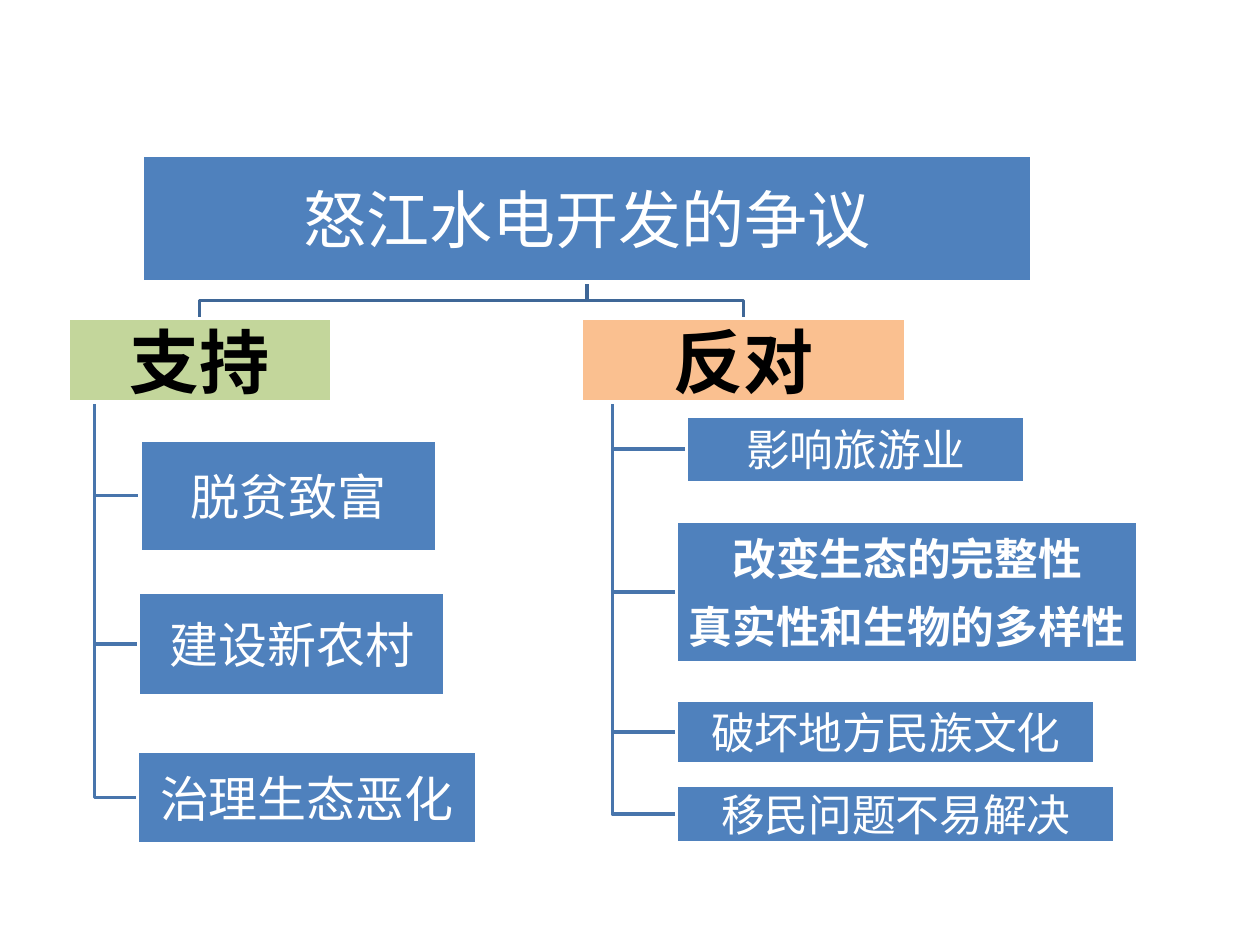
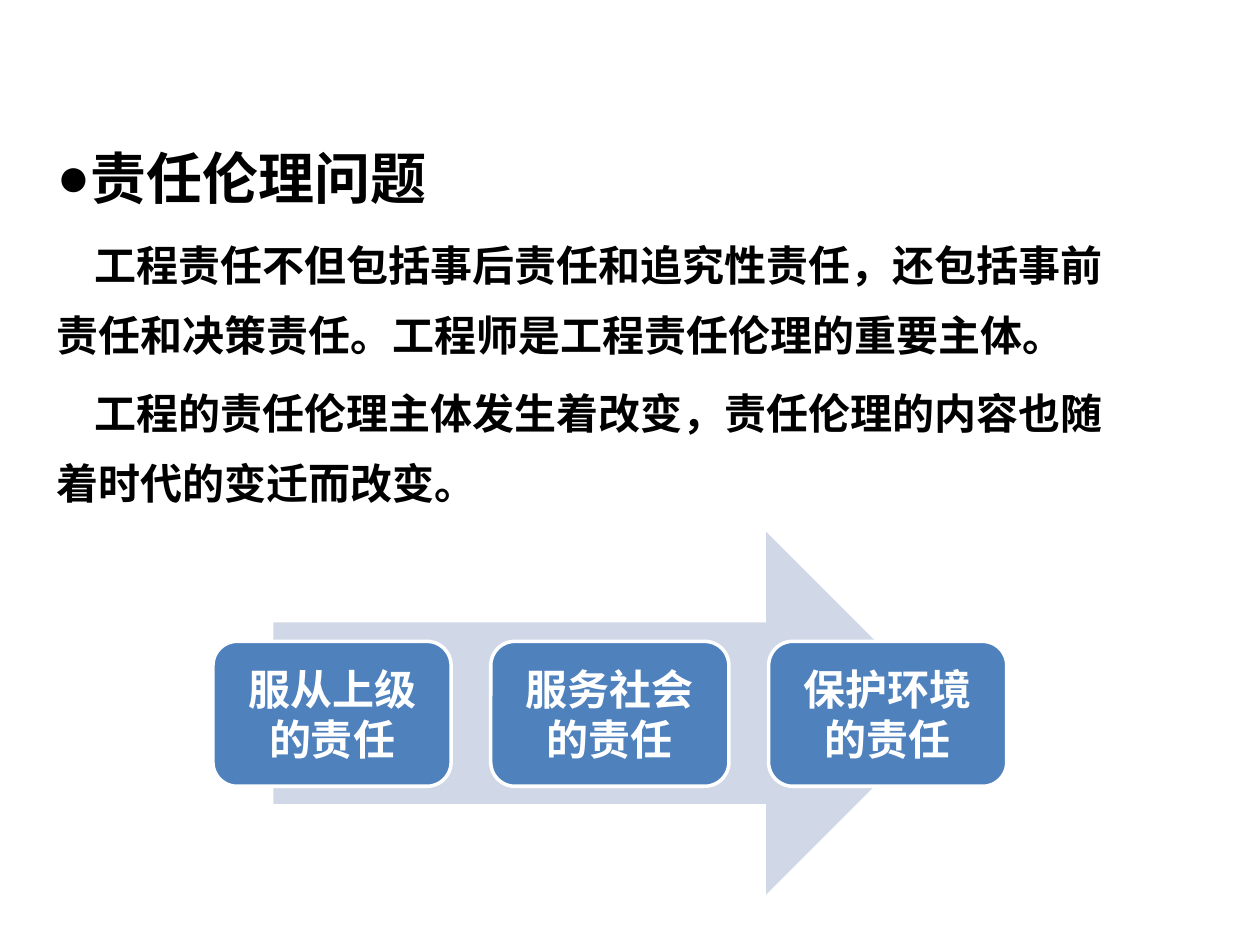
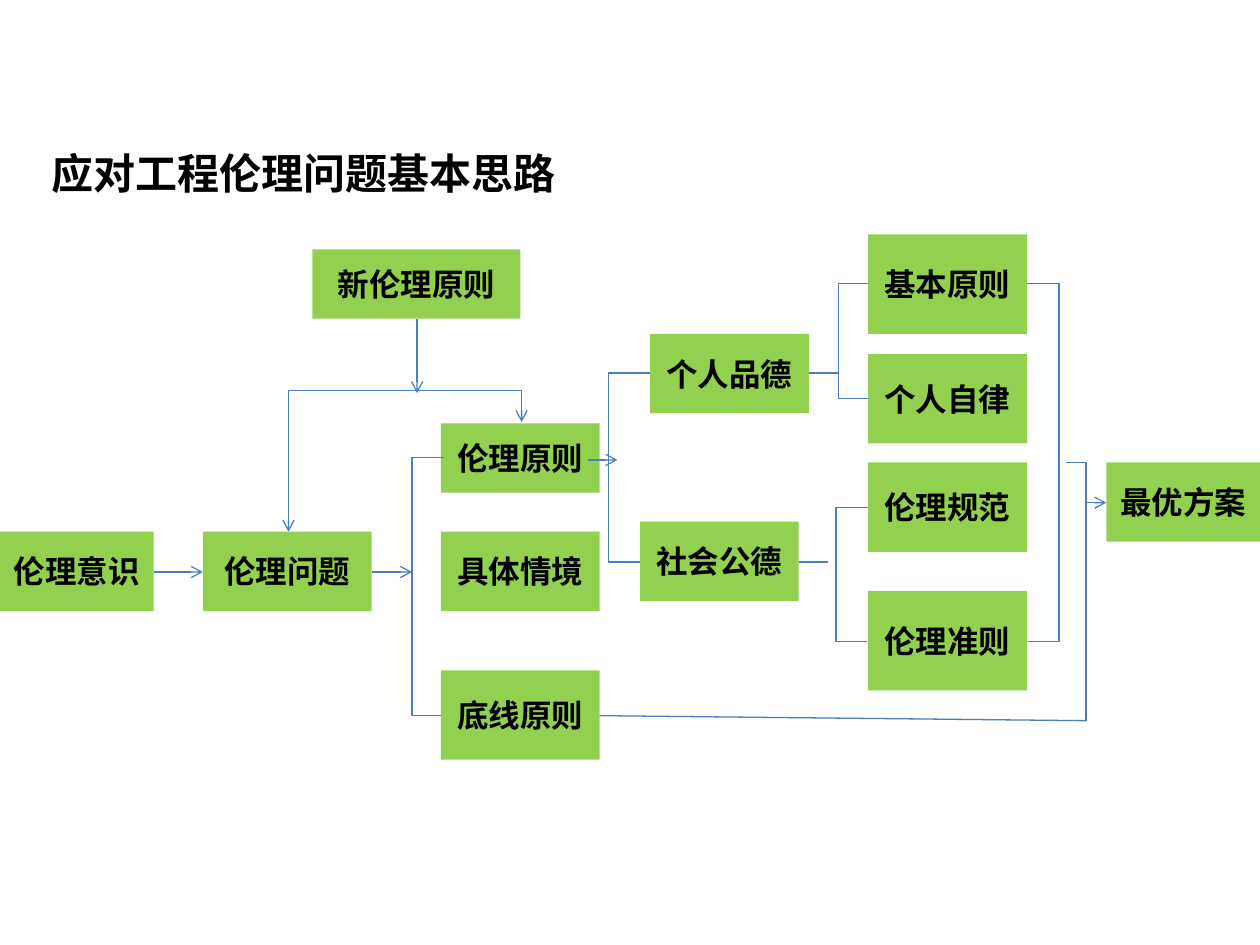
from dataclasses import dataclass

from lxml import etree
from pptx import Presentation
from pptx.dml.color import RGBColor
from pptx.enum.shapes import MSO_CONNECTOR, MSO_SHAPE
from pptx.enum.text import MSO_ANCHOR, MSO_AUTO_SIZE, PP_ALIGN
from pptx.oxml.ns import qn
from pptx.util import Inches, Pt

RECTANGLE = MSO_SHAPE.RECTANGLE
ROUNDED = MSO_SHAPE.ROUNDED_RECTANGLE
RIGHT_ARROW = MSO_SHAPE.RIGHT_ARROW
STRAIGHT, ELBOW = MSO_CONNECTOR.STRAIGHT, MSO_CONNECTOR.ELBOW
CENTER, LEFT = PP_ALIGN.CENTER, PP_ALIGN.LEFT
MIDDLE, TOP = MSO_ANCHOR.MIDDLE, MSO_ANCHOR.TOP


@dataclass(frozen=True)
class Theme:
    font: str = "Calibri"
    body_font: str = "Arial"
    black: str = "000000"
    white: str = "FFFFFF"
    blue: str = "4F81BD"
    pale_blue: str = "D0D8E8"
    support: str = "C3D69B"
    oppose: str = "FAC090"
    green: str = "92D050"
    trunk: str = "3F6797"
    branch: str = "4875AC"
    flow: str = "4B7EBC"
    root_size: int = 36
    side_size: int = 40
    heading_size: int = 32
    text_size: int = 24
    flow_size: int = 18


THEME = Theme()

# Content: the controversy tree, boxes as (left, top, width, height)
ROOT = ("怒江水电开发的争议", (1.13, 1.23, 7.06, 1.01))
SIDES = [
    {"name": "支持", "box": (0.54, 2.53, 2.09, 0.66), "fill": THEME.support,
     "spine": 0.75, "size": 28, "points": [
         ("脱贫致富", (1.11, 3.49, 2.36, 0.89)),
         ("建设新农村", (1.1, 4.7, 2.43, 0.82)),
         ("治理生态恶化", (1.09, 5.96, 2.69, 0.74))]},
    {"name": "反对", "box": (4.61, 2.53, 2.58, 0.66), "fill": THEME.oppose,
     "spine": 4.86, "size": 25, "points": [
         ("影响旅游业", (5.45, 3.3, 2.68, 0.53)),
         ("改变生态的完整性\n真实性和生物的多样性", (5.37, 4.14, 3.66, 1.12)),
         ("破坏地方民族文化", (5.37, 5.56, 3.32, 0.5)),
         ("移民问题不易解决", (5.37, 6.23, 3.48, 0.46))]},
]

# Content: responsibility ethics
HEADING = "责任伦理问题"
PARAGRAPHS = [
    "工程责任不但包括事后责任和追究性责任，还包括事前责任和决策责任。工程师是工程责任伦理的重要主体。",
    "工程的责任伦理主体发生着改变，责任伦理的内容也随着时代的变迁而改变。",
]
STAGES = ["服从上级的责任", "服务社会的责任", "保护环境的责任"]

# Content: the decision flow
FLOW_TITLE = "应对工程伦理问题基本思路"
FLOW_BOXES = [
    ("伦理意识", (0, 4.22, 1.22, 0.63)),
    ("伦理问题", (1.61, 4.22, 1.34, 0.63)),
    ("伦理原则", (3.5, 3.36, 1.26, 0.55)),
    ("具体情境", (3.5, 4.22, 1.26, 0.63)),
    ("底线原则", (3.5, 5.32, 1.26, 0.71)),
    ("新伦理原则", (2.48, 1.98, 1.65, 0.55)),
    ("个人品德", (5.16, 2.65, 1.26, 0.63)),
    ("社会公德", (5.08, 4.14, 1.26, 0.63)),
    ("基本原则", (6.89, 1.86, 1.26, 0.79)),
    ("个人自律", (6.89, 2.81, 1.26, 0.71)),
    ("伦理规范", (6.89, 3.67, 1.26, 0.71)),
    ("伦理准则", (6.89, 4.69, 1.26, 0.79)),
    ("最优方案", (8.78, 3.67, 1.22, 0.63)),
]
FLOW_ARROWS = [
    ((1.22, 4.54), (1.61, 4.54)), ((2.95, 4.54), (3.27, 4.54)),
    ((8.62, 3.99), (8.78, 3.99)), ((3.31, 2.53), (3.31, 3.12)),
    ((4.67, 3.65), (4.9, 3.65)),
]
FLOW_LINES = [
    ((4.76, 5.68), (8.62, 5.72)), ((8.62, 5.72), (8.62, 3.67)),
    ((8.62, 3.67), (8.46, 3.67)), ((6.42, 2.96), (6.65, 2.96)),
    ((6.34, 4.46), (6.57, 4.46)),
]
# Brackets as (upper end, lower end, x of the spine)
BRACKETS = [
    ((3.52, 3.63), (3.5, 5.68), 3.27),
    ((5.16, 2.96), (5.08, 4.46), 4.83),
    ((6.9, 2.25), (6.89, 3.16), 6.65),
    ((6.89, 4.03), (6.88, 5.09), 6.63),
    ((8.15, 2.25), (8.16, 5.09), 8.41),
]


# Shared helpers
def color(value):
    return RGBColor.from_string(value)


def format_runs(paragraph, size, ink, bold, font=THEME.font):
    for span in paragraph.runs:
        span.font.name = font
        span.font.size = Pt(size)
        span.font.bold = bold
        span.font.color.rgb = color(ink)


def place(shape, box):
    shape.left, shape.top, shape.width, shape.height = map(Inches, box)


def add_box(page, kind, box, fill, edge=None):
    shape = page.shapes.add_shape(kind, *map(Inches, box))
    shape.shadow.inherit = False
    shape.fill.solid()
    shape.fill.fore_color.rgb = color(fill)
    if edge:
        shape.line.color.rgb = color(edge)
        shape.line.width = Pt(2)
    else:
        shape.line.fill.background()
    return shape


def add_label(shape, text, size, ink, bold=False, inset=0.1, after=0):
    frame = shape.text_frame
    frame.text = text
    frame.word_wrap = True
    frame.vertical_anchor = MIDDLE
    frame.margin_left = frame.margin_right = Inches(inset)
    frame.margin_top = frame.margin_bottom = Inches(min(inset, 0.1))
    for paragraph in frame.paragraphs:
        paragraph.alignment = CENTER
        paragraph.space_after = Pt(after * size)
        format_runs(paragraph, size, ink, bold)


def add_polyline(page, points, ink):
    start, *rest = [tuple(map(Inches, point)) for point in points]
    builder = page.shapes.build_freeform(*start)
    builder.add_line_segments(rest, close=False)
    shape = builder.convert_to_shape()
    shape.shadow.inherit = False
    shape.fill.background()
    shape.line.color.rgb = color(ink)
    shape.line.width = Pt(2)


def add_line(page, start, end, kind=STRAIGHT, ends=()):
    connector = page.shapes.add_connector(kind, *map(Inches, start + end))
    connector.line.color.rgb = color(THEME.flow)
    connector.line.width = Pt(0.75)
    properties = connector._element.spPr
    for name in ends:
        etree.SubElement(properties.find(qn("a:ln")), qn(name), type="arrow")
    etree.SubElement(properties, qn("a:effectLst"))
    return connector


def add_elbow(page, start, end, bend, turn=0, ends=()):
    connector = add_line(page, start, end, ELBOW, ends)
    properties = connector._element.spPr
    properties.find(qn("a:xfrm")).set("rot", str(turn * 60000))
    guides = properties.find(qn("a:prstGeom")).get_or_add_avLst()
    etree.SubElement(guides, qn("a:gd"), name="adj1",
                     fmla=f"val {round(bend * 100000)}")


def add_bracket(page, upper, lower, spine):
    (x1, y1), (x2, y2) = upper, lower
    bend = (spine - x1) / (x2 - x1)
    if x2 > x1:
        add_elbow(page, upper, lower, bend)
    else:
        add_elbow(page, (x2, y2), (x1, y1), bend, turn=180)


# Slides
def build_controversy(deck):
    page = deck.slides.add_slide(deck.slide_layouts[6])
    name, root_box = ROOT
    left, top, width, height = root_box
    root_x, root_bottom = left + width / 2, top + height

    for side in SIDES:
        left, top, width, height = side["box"]
        side_x, rail = left + width / 2, (root_bottom + top) / 2
        add_polyline(page, [(root_x, root_bottom), (root_x, rail),
                            (side_x, rail), (side_x, top)], THEME.trunk)
        for _, (x, y, _, point_height) in side["points"]:
            middle = y + point_height / 2
            add_polyline(page, [(side["spine"], top + height),
                                (side["spine"], middle), (x, middle)], THEME.branch)

    def add_node(text, box, fill, size, ink=THEME.white, bold=False, inset=0.02):
        shape = add_box(page, RECTANGLE, box, fill, THEME.white)
        add_label(shape, text, size, ink, bold, inset, after=0.35)

    add_node(name, root_box, THEME.blue, THEME.root_size, inset=0.03)
    for side in SIDES:
        add_node(side["name"], side["box"], side["fill"], THEME.side_size,
                 THEME.black, True, 0.03)
        for text, box in side["points"]:
            add_node(text, box, THEME.blue, side["size"], bold="\n" in text)


def build_responsibility(deck):
    page = deck.slides.add_slide(deck.slide_layouts[1])
    title, body = page.placeholders
    title._element.getparent().remove(title._element)
    place(body, (0.35, 1.07, 8.62, 3.31))
    frame = body.text_frame
    frame.text = "\n".join([HEADING] + PARAGRAPHS)
    frame.auto_size = MSO_AUTO_SIZE.NONE
    for index, paragraph in enumerate(frame.paragraphs):
        heading = index == 0
        size = THEME.heading_size if heading else THEME.text_size
        properties = paragraph._p.get_or_add_pPr()
        properties.set("marL", str(Inches(0.26 if heading else 0)))
        properties.set("indent", str(Inches(-0.26 if heading else 0.3)))
        if heading:
            etree.SubElement(properties, qn("a:buChar"), char="●")
        else:
            etree.SubElement(properties, qn("a:buNone"))
        paragraph.line_spacing = Pt(40)
        paragraph.space_before = Pt(0 if heading else 0.2 * size)
        format_runs(paragraph, size, THEME.black, True,
                    THEME.font if heading else THEME.body_font)

    # Stages evenly spaced along the arrow
    add_box(page, RIGHT_ARROW, (2.17, 4.22, 5.35, 2.88), THEME.pale_blue)
    for index, stage in enumerate(STAGES):
        box = (1.69 + index * 2.205, 5.09, 1.89, 1.15)
        shape = add_box(page, ROUNDED, box, THEME.blue, THEME.white)
        add_label(shape, stage, THEME.text_size, THEME.white, True)


def build_flow(deck):
    page = deck.slides.add_slide(deck.slide_layouts[5])
    title = page.shapes.title
    place(title, (0.31, 1.12, 7.28, 0.5))
    frame = title.text_frame
    frame.text = FLOW_TITLE
    frame.auto_size = MSO_AUTO_SIZE.NONE
    frame.vertical_anchor = TOP
    frame.paragraphs[0].alignment = LEFT
    format_runs(frame.paragraphs[0], THEME.text_size, THEME.black, True)

    for text, box in FLOW_BOXES:
        shape = add_box(page, RECTANGLE, box, THEME.green)
        add_label(shape, text, THEME.flow_size, THEME.black, True)
    for bracket in BRACKETS:
        add_bracket(page, *bracket)
    # Two-headed link from the ethical principle back to the ethical problem
    add_elbow(page, (3.65, 4.71), (2.78, 2.86), -0.289, turn=270,
              ends=("a:headEnd", "a:tailEnd"))
    for start, end in FLOW_LINES:
        add_line(page, start, end)
    for start, end in FLOW_ARROWS:
        add_line(page, start, end, ends=("a:tailEnd",))


def main():
    deck = Presentation()
    deck.slide_width, deck.slide_height = Inches(10), Inches(7.5)
    build_controversy(deck)
    build_responsibility(deck)
    build_flow(deck)
    deck.save("out.pptx")


if __name__ == "__main__":
    main()
